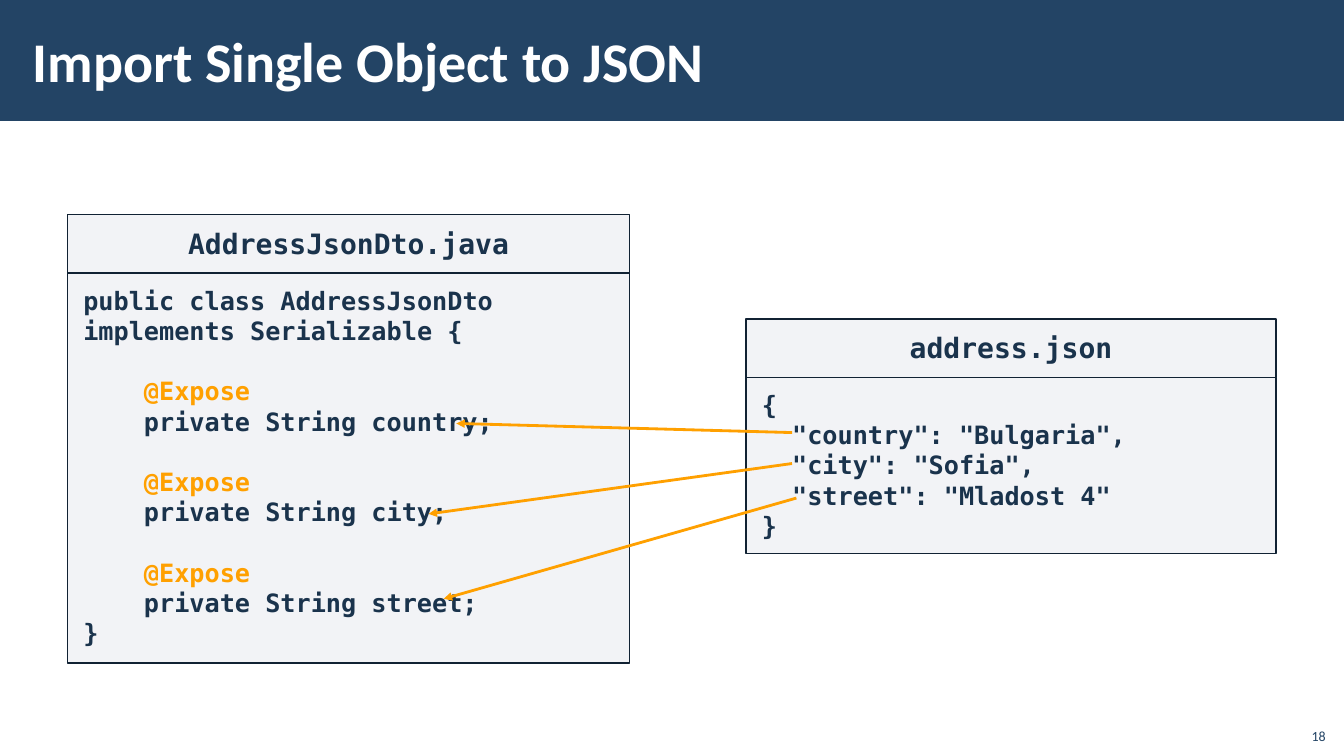
from dataclasses import dataclass

from lxml import etree
from pptx import Presentation
from pptx.dml.color import RGBColor
from pptx.enum.shapes import MSO_CONNECTOR, MSO_SHAPE
from pptx.enum.text import MSO_ANCHOR, MSO_AUTO_SIZE, PP_ALIGN
from pptx.oxml.ns import qn
from pptx.util import Cm, Pt

RECTANGLE = MSO_SHAPE.RECTANGLE
STRAIGHT = MSO_CONNECTOR.STRAIGHT
TOP, MIDDLE, BOTTOM = MSO_ANCHOR.TOP, MSO_ANCHOR.MIDDLE, MSO_ANCHOR.BOTTOM
LEFT, CENTER, RIGHT = PP_ALIGN.LEFT, PP_ALIGN.CENTER, PP_ALIGN.RIGHT
GROW, FIXED = MSO_AUTO_SIZE.SHAPE_TO_FIT_TEXT, MSO_AUTO_SIZE.NONE
TITLE_ONLY = 5


@dataclass(frozen=True)
class Theme:
    band: str = "234465"
    title: str = "FFFFFF"
    panel: str = "ADB4C3"
    border: str = "112233"
    code: str = "1A334C"
    accent: str = "FFA000"
    body_font: str = "Calibri"
    code_font: str = "DejaVu Sans Mono"
    title_size: int = 40
    header_size: int = 20
    code_size: int = 18
    number_size: int = 10
    panel_opacity: int = 15
    blank_line: float = 21.6  # one code line, in points
    code_column: float = 0.382  # one code character, in cm


class SlideBuilder:
    HEADER_HEIGHT = 1.47

    def __init__(self, slide, theme):
        self.slide = slide
        self.theme = theme

    def set_frame(self, shape, anchor, insets, auto_size=FIXED):
        frame = shape.text_frame
        frame.word_wrap = True
        frame.auto_size = auto_size
        frame.vertical_anchor = anchor
        horizontal, vertical = insets
        frame.margin_left = frame.margin_right = Cm(horizontal)
        frame.margin_top = frame.margin_bottom = Cm(vertical)
        return frame

    def add_run(self, paragraph, text, font, size, color, bold=True):
        run = paragraph.add_run()
        run.text = text
        run.font.name = font
        run.font.size = Pt(size)
        run.font.bold = bold
        run.font.color.rgb = RGBColor.from_string(color)

    def add_rectangle(self, box, color):
        shape = self.slide.shapes.add_shape(RECTANGLE, *map(Cm, box))
        shape.shadow.inherit = False
        shape.fill.solid()
        shape.fill.fore_color.rgb = RGBColor.from_string(color)
        shape.line.fill.background()
        return shape

    def add_title(self, text):
        theme = self.theme
        band = self.add_rectangle((0, 0, 33.87, 3.05), theme.band)
        title = self.slide.shapes.title
        band.element.addnext(title.element)  # title in front of its band
        title.left, title.top, title.width, title.height = map(Cm, (0.53, 0.28, 27, 2.46))
        paragraph = self.set_frame(title, MIDDLE, (0.3, 0.1)).paragraphs[0]
        paragraph.alignment = LEFT
        self.add_run(paragraph, text, theme.body_font, theme.title_size, theme.title)

    def add_panel(self, box):
        theme = self.theme
        shape = self.add_rectangle(box, theme.panel)
        color = shape.fill._xPr.find(qn("a:solidFill"))[0]
        etree.SubElement(color, qn("a:alpha"), val=str(theme.panel_opacity * 1000))
        shape.line.color.rgb = RGBColor.from_string(theme.border)
        shape.line.width = Pt(1)
        return self.set_frame(shape, TOP, (0.4, 0.3), GROW)

    def add_code_file(self, name, box, lines):
        """Each line is (indent in characters, text); annotations follow a gap."""
        theme = self.theme
        left, top, width, height = box
        body_top = top + self.HEADER_HEIGHT
        # Code
        frame = self.add_panel((left, body_top, width, height - self.HEADER_HEIGHT))
        for index, (indent, text) in enumerate(lines):
            paragraph = frame.add_paragraph() if index else frame.paragraphs[0]
            paragraph.alignment = LEFT
            margin = Cm(indent * theme.code_column)
            properties = paragraph._p.get_or_add_pPr()
            properties.set("marL", str(margin))
            properties.set("indent", "0")
            color = theme.code
            if text.startswith("@"):
                color = theme.accent
                paragraph.space_before = Pt(theme.blank_line)
            self.add_run(paragraph, text, theme.code_font, theme.code_size, color)
        # File name
        header = self.add_panel((left, top, width, self.HEADER_HEIGHT))
        paragraph = header.paragraphs[0]
        paragraph.alignment = CENTER
        paragraph.space_before = paragraph.space_after = Pt(6)
        self.add_run(paragraph, name, theme.code_font, theme.header_size, theme.code)

    def add_arrow(self, start, end):
        arrow = self.slide.shapes.add_connector(STRAIGHT, *map(Cm, (*start, *end)))
        arrow.line.color.rgb = RGBColor.from_string(self.theme.accent)
        arrow.line.width = Pt(2)
        etree.SubElement(arrow.line._get_or_add_ln(), qn("a:tailEnd"), type="triangle")
        etree.SubElement(arrow._element.spPr, qn("a:effectLst"))

    def add_page_number(self, number):
        theme = self.theme
        box = self.slide.shapes.add_textbox(*map(Cm, (32.64, 18.08, 1.02, 0.81)))
        paragraph = self.set_frame(box, BOTTOM, (0.25, 0.13)).paragraphs[0]
        paragraph.alignment = RIGHT
        self.add_run(paragraph, number, theme.body_font, theme.number_size, theme.band, False)


presentation = Presentation()
presentation.slide_width, presentation.slide_height = Cm(33.87), Cm(19.05)
slide = presentation.slides.add_slide(presentation.slide_layouts[TITLE_ONLY])
builder = SlideBuilder(slide, Theme())

builder.add_title("Import Single Object to JSON")

# Java class
java_lines = [(0, "public class AddressJsonDto implements Serializable {")]
for field in ("country", "city", "street"):
    java_lines += [(4, "@Expose"), (4, f"private String {field};")]
java_lines.append((0, "}"))
builder.add_code_file("AddressJsonDto.java", (1.7, 5.41, 14.17, 11.3), java_lines)

# JSON file
json_lines = [
    (0, "{"),
    (2, '"country": "Bulgaria",'),
    (2, '"city": "Sofia",'),
    (2, '"street": "Mladost 4"'),
    (0, "}"),
]
builder.add_code_file("address.json", (18.8, 8.04, 13.36, 5.91), json_lines)

# Arrows from each JSON key to its Java field
for json_key, java_field in (
    ((19.96, 10.9), (11.5, 10.67)),
    ((19.96, 11.68), (10.8, 12.95)),
    ((20.07, 12.55), (11.18, 15.09)),
):
    builder.add_arrow(json_key, java_field)

builder.add_page_number("18")

presentation.save("out.pptx")
